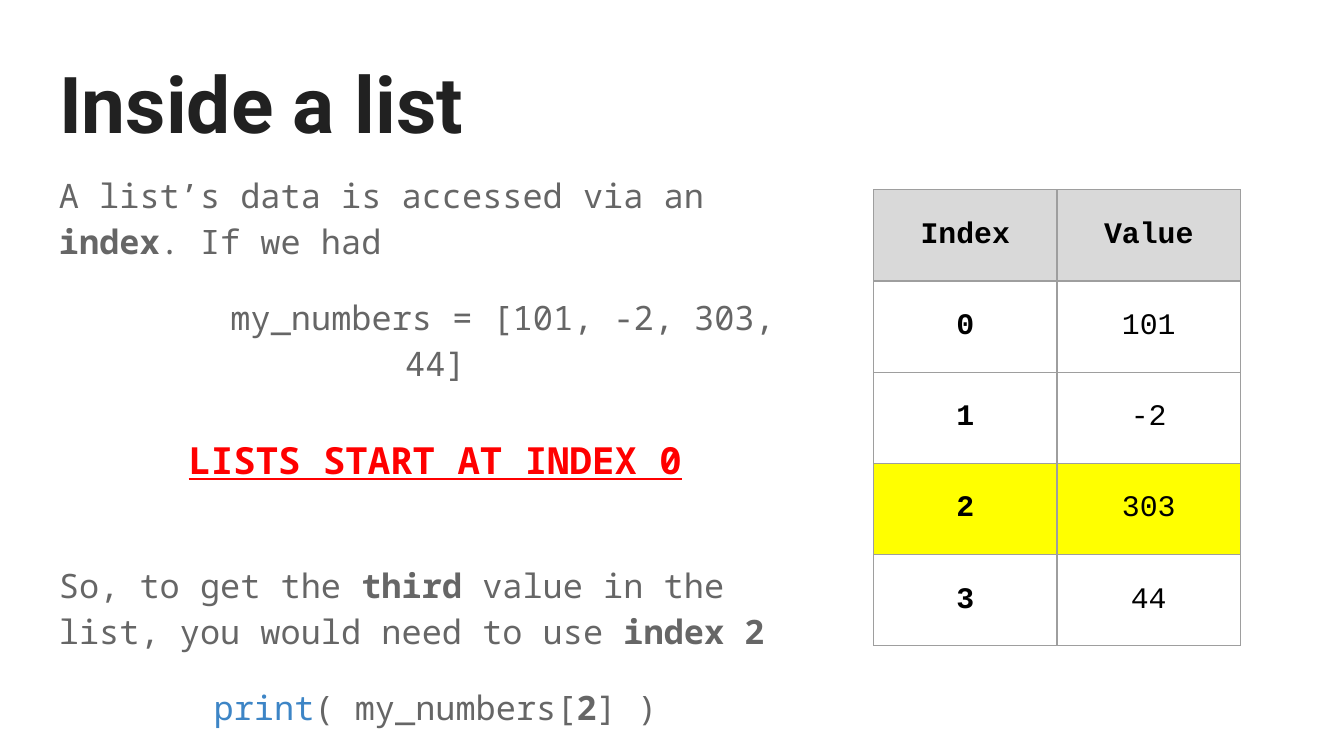
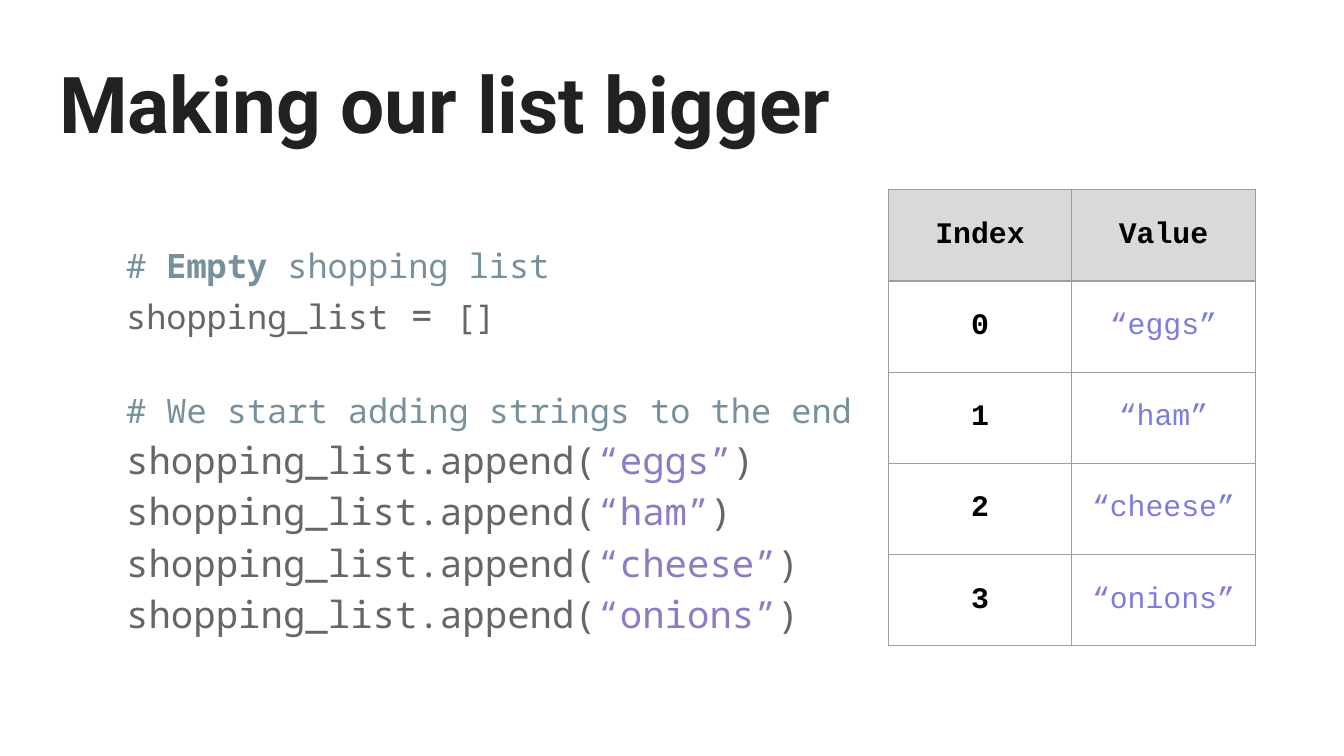
"""Builds two slides that explain list indexes and list growth."""
from dataclasses import dataclass

from lxml.etree import SubElement
from pptx import Presentation
from pptx.dml.color import RGBColor as RGB
from pptx.enum.text import MSO_ANCHOR as ANCHOR, PP_ALIGN as ALIGN
from pptx.oxml.ns import qn
from pptx.util import Emu, Inches, Pt


@dataclass(frozen=True)
class Theme:
    title_font: str = "Roboto"
    body_font: str = "Noto Sans Mono"
    table_font: str = "Courier New"
    title_size: int = 42
    big_size: int = 20
    body_size: int = 18
    table_size: int = 16
    paper: str = "FFFFFF"
    title: str = "212121"
    body: str = "666666"
    alert: str = "FF0000"
    keyword: str = "3D85C6"
    comment: str = "78909C"
    string: str = "8E7CC3"
    cell: str = "000000"
    cell_string: str = "7C7CE0"
    header_fill: str = "D9D9D9"
    mark_fill: str = "FFFF00"
    border: str = "9E9E9E"
    border_width: float = 0.75
    inset: float = 0.1
    line_spacing: float = 1.15
    gap: int = 16
    blank_line: int = 25


T = Theme()


def add_text(p, text, font=T.body_font, size=T.body_size, color=T.body, bold=False, underline=False):
    r = p.add_run()
    r.text = text
    f = r.font
    f.name, f.size, f.bold, f.underline = font, Pt(size), bold, underline
    f.color.rgb = RGB.from_string(color)


class Deck:
    def __init__(self):
        self.prs = Presentation()
        self.prs.slide_width, self.prs.slide_height = Inches(10), Inches(5.625)
        self.s = None

    def box(self, x, y, w, h):
        """Turns percentages of the slide's size into lengths."""
        sizes = (self.prs.slide_width, self.prs.slide_height) * 2
        return [Emu(round(share * size / 100)) for share, size in zip((x, y, w, h), sizes)]

    def inset(self, tf, top=T.inset):
        tf.margin_left = tf.margin_right = tf.margin_bottom = Inches(T.inset)
        tf.margin_top = Inches(top)
        tf.word_wrap = True

    def slide(self, title, width):
        self.s = self.prs.slides.add_slide(self.prs.slide_layouts[5])
        fill = self.s.background.fill
        fill.solid()
        fill.fore_color.rgb = RGB.from_string(T.paper)
        sp = self.s.shapes.title
        sp.left, sp.top, sp.width, sp.height = self.box(3.4, 5.7, width, 15.7)
        tf = sp.text_frame
        self.inset(tf)
        tf.vertical_anchor = ANCHOR.MIDDLE
        p = tf.paragraphs[0]
        p.alignment = ALIGN.LEFT
        add_text(p, title, font=T.title_font, size=T.title_size, color=T.title, bold=True)

    def body(self, place, paragraphs, top=T.inset):
        """Adds paragraphs, each a list of runs with its space before, indent and centring."""
        tf = self.s.shapes.add_textbox(*self.box(*place)).text_frame
        self.inset(tf, top)
        for i, (runs, before, indent, centred) in enumerate(paragraphs):
            p = tf.add_paragraph() if i else tf.paragraphs[0]
            p.alignment = ALIGN.CENTER if centred else ALIGN.LEFT
            p.line_spacing = T.line_spacing
            p.space_before = Pt(before)
            p._p.get_or_add_pPr().set("indent", str(Inches(indent)))
            for text, fmt in runs:
                add_text(p, text, **fmt)

    def border(self, cell):
        props = cell._tc.get_or_add_tcPr()
        for side in ("lnL", "lnR", "lnT", "lnB"):
            line = SubElement(props, qn(f"a:{side}"), w=str(Pt(T.border_width)))
            SubElement(SubElement(line, qn("a:solidFill")), qn("a:srgbClr"), val=T.border)

    def index_table(self, left, values, value_color=T.cell, marked=None):
        rows = [("Index", "Value"), *((str(i), v) for i, v in enumerate(values))]
        place = self.box(left, 25.1, 27.3, 12.07 * len(rows))
        table = self.s.shapes.add_table(len(rows), 2, *place).table
        table.first_row = table.horz_banding = False
        for i, row in enumerate(rows):
            fill = T.header_fill if i == 0 else T.mark_fill if i - 1 == marked else None
            for j, text in enumerate(row):
                cell = table.cell(i, j)
                label = i == 0 or j == 0
                self.border(cell)
                if fill:
                    cell.fill.solid()
                    cell.fill.fore_color.rgb = RGB.from_string(fill)
                else:
                    cell.fill.background()
                cell.vertical_anchor = ANCHOR.MIDDLE
                cell.margin_left = cell.margin_right = Inches(T.inset)
                cell.margin_top = cell.margin_bottom = Inches(T.inset)
                p = cell.text_frame.paragraphs[0]
                p.alignment = ALIGN.CENTER
                add_text(p, text, font=T.table_font, size=T.table_size, bold=label,
                         color=T.cell if label else value_color)


def inside_a_list(deck):
    plain, bold = {}, {"bold": True}
    alert = {"size": T.big_size, "color": T.alert, "bold": True, "underline": True}
    deck.slide("Inside a list", 46.7)
    deck.body((3.4, 20.5, 58, 77.6), [
        ([("A list’s data is accessed via an ", plain), ("index", bold), (". If we had", plain)],
         0, 0, False),
        ([("my_numbers = [101, -2, 303, 44]", plain)], T.gap, 1, True),
        ([("LISTS START AT INDEX 0", alert)], T.blank_line, 0, True),
        ([("So, to get the ", plain), ("third", bold),
          (" value in the list, you would need to use ", plain), ("index 2", bold)],
         T.gap + T.blank_line, 0, False),
        ([("print", {"color": T.keyword}), ("( my_numbers[", plain), ("2", bold), ("] )", plain)],
         T.gap, 0, True),
    ])
    deck.index_table(65, ["101", "-2", "303", "44"], marked=2)


def making_our_list_bigger(deck):
    foods = ["“eggs”", "“ham”", "“cheese”", "“onions”"]
    plain, big, comment = {}, {"size": T.big_size}, {"color": T.comment}
    string = {**big, "color": T.string}
    lines = [
        [("# ", comment), ("Empty", {**comment, "bold": True}), (" shopping list", comment)],
        [("shopping_list", plain), (" = ", big), ("[]", plain)],
        [("# We start adding strings to the end", comment)],
        *([("shopping_list.append(", big), (food, string), (")", big)] for food in foods),
    ]
    deck.slide("Making our list bigger", 93.2)
    deck.body((3.4, 23.8, 62.6, 65),
              [(runs, T.blank_line if i == 2 else 0, 0.5, False) for i, runs in enumerate(lines)],
              top=0.44)
    deck.index_table(66.1, foods, value_color=T.cell_string)


def main():
    deck = Deck()
    inside_a_list(deck)
    making_our_list_bigger(deck)
    deck.prs.save("out.pptx")


if __name__ == "__main__":
    main()
